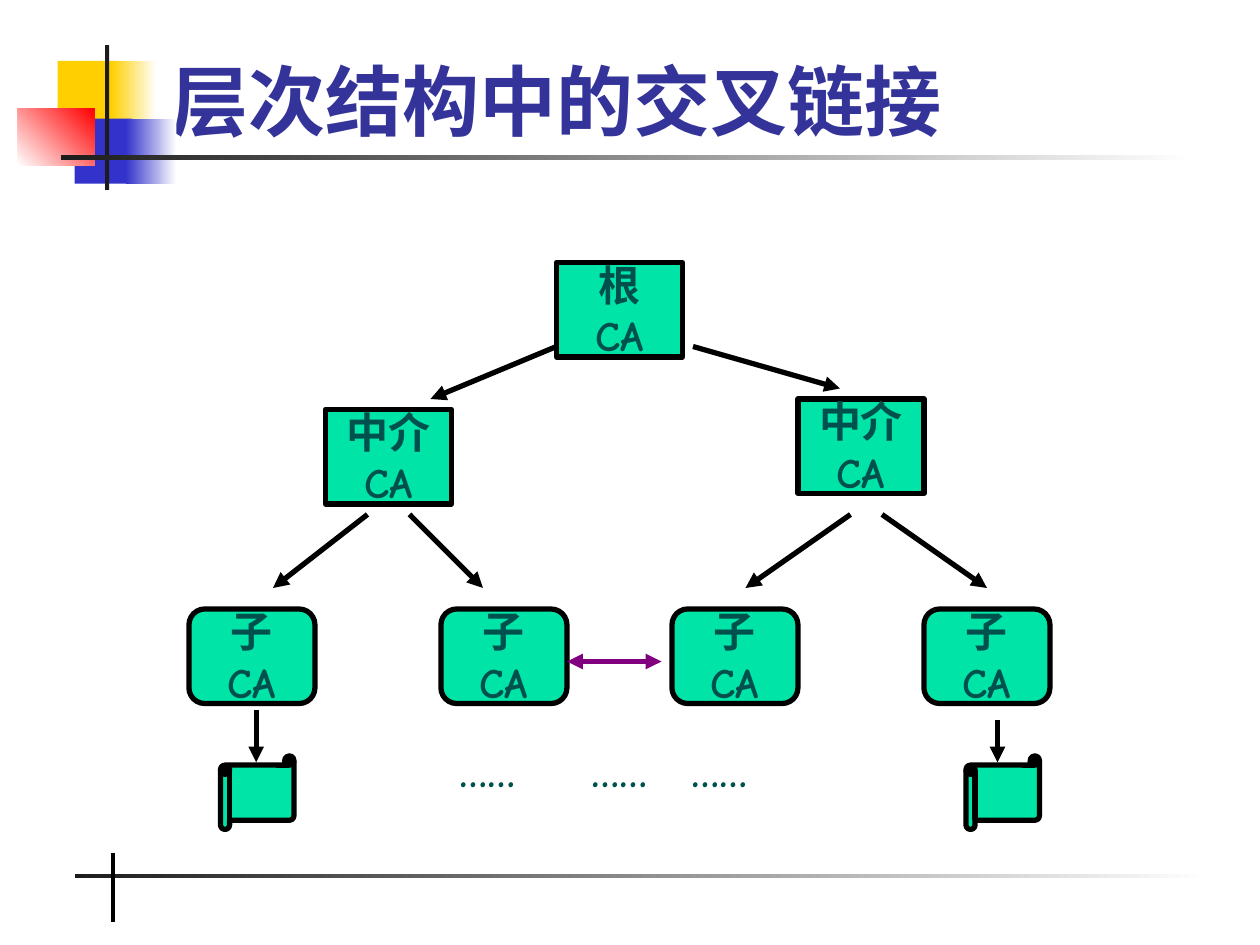
import pptx
import pptx.util
import pptx.dml.color
import pptx.enum.dml
import pptx.enum.shapes
import pptx.enum.text
import pptx.oxml
import pptx.oxml.ns

RGB = pptx.dml.color.RGBColor
KIND = pptx.enum.shapes.MSO_SHAPE
ALIGN = pptx.enum.text.PP_ALIGN
ANCHOR = pptx.enum.text.MSO_ANCHOR

GOLD = RGB(0xFF, 0xCF, 0x01)
BLUE = RGB(0x33, 0x33, 0xCC)
RED = RGB(0xFF, 0x00, 0x00)
DARK = RGB(0x1C, 0x1C, 0x1C)
WHITE = RGB(0xFF, 0xFF, 0xFF)
BLACK = RGB(0x00, 0x00, 0x00)
NAVY = RGB(0x33, 0x33, 0x99)
MINT = RGB(0x00, 0xE4, 0xA8)
TEAL = RGB(0x00, 0x50, 0x4E)
PURPLE = RGB(0x80, 0x00, 0x80)

SCALE = 7620
TITLE = "层次结构中的交叉链接"
DECOR = [
    ((55, 58, 58, 62), [GOLD], 0),
    ((106, 58, 43, 62), [GOLD, WHITE], 0),
    ((71, 113, 55, 62), [BLUE], 0),
    ((120, 113, 48, 62), [BLUE, WHITE], 0),
    ((17, 103, 73, 55), [WHITE, RED], 45),
    ((100, 43, 4, 138), [DARK], 0),
    ((58, 148, 1080, 4), [DARK, WHITE], 0),
    ((71, 832, 1080, 4), [DARK, WHITE], 0),
]
NODES = [
    ("根", KIND.RECTANGLE, [(530, 250)]),
    ("中介", KIND.RECTANGLE, [(310, 390), (760, 380)]),
    ("子", KIND.ROUNDED_RECTANGLE, [(x, 580) for x in (180, 420, 640, 880)]),
]
SCROLLS = [210, 920]
DOTS = ["……"] * 3
STOPS = [125, 221]
ARROWS = [
    (530, 330, 410, 380), (660, 330, 800, 370),
    (350, 490, 260, 560), (390, 490, 460, 560),
    (810, 490, 710, 560), (840, 490, 940, 560),
    (244, 676, 244, 726), (950, 686, 950, 726),
]
CROSS = (540, 630, 630, 630)

HEAD = {"name": "Times New Roman", "size": pptx.util.Pt(44), "bold": True}
BODY = {"name": "Comic Neue", "size": pptx.util.Pt(24), "bold": True}
FRAME = {"margin_left": 0, "margin_top": 0, "margin_right": 0,
         "margin_bottom": 0, "word_wrap": False,
         "vertical_anchor": ANCHOR.MIDDLE}


def px(*nums):
    return [pptx.util.Emu(n * SCALE) for n in nums]


def put(thing, vals):
    for key, val in vals.items():
        setattr(thing, key, val)


def add(host, tag, **atts):
    node = pptx.oxml.parse_xml(
        f"<a:{tag} {pptx.oxml.ns.nsdecls('a')}/>")
    for key, val in atts.items():
        node.set(key, str(val))
    host.append(node)
    return node


def write(shape, text, font, tone, frame, align):
    body = shape.text_frame
    body.text = text
    put(body, frame)
    para = body.paragraphs[0]
    para.alignment = align
    for run in para.runs:
        put(run.font, font)
        run.font.color.rgb = tone
    return para


def draw(slide, kind, box, tones, turn=0):
    shape = slide.shapes.add_shape(kind, *px(*box))
    shape.shadow.inherit = False
    shape.line.fill.background()
    if len(tones) == 1:
        shape.fill.solid()
        shape.fill.fore_color.rgb = tones[0]
    else:
        shape.fill.gradient()
        shape.fill.gradient_angle = turn
        for stop, tone in zip(shape.fill.gradient_stops, tones):
            stop.color.rgb = tone
    return shape


def edge(line, tone, width=3):
    line.color.rgb = tone
    line.width = pptx.util.Pt(width)


def link(slide, ends, tone=BLACK, width=3, tips=()):
    line = slide.shapes.add_connector(
        pptx.enum.shapes.MSO_CONNECTOR.STRAIGHT, *px(*ends))
    edge(line.line, tone, width)
    for tip in tips:
        add(line.line._get_or_add_ln(), tip, type="triangle")
    add(line._element.spPr, "effectLst")


def main():
    deck = pptx.Presentation()
    deck.slide_width, deck.slide_height = px(1200, 900)
    slide = deck.slides.add_slide(deck.slide_layouts[5])

    for box, tones, turn in DECOR:
        draw(slide, KIND.RECTANGLE, box, tones, turn)
    link(slide, (108, 812, 108, 878), width=2.25)

    title = slide.shapes.title
    put(title, dict(zip(("left", "top", "width", "height"),
                        px(151, 19, 1022, 126))))
    write(title, TITLE, HEAD, NAVY,
          {"vertical_anchor": ANCHOR.BOTTOM, "word_wrap": True,
           "auto_size": pptx.enum.text.MSO_AUTO_SIZE.NONE}, ALIGN.LEFT)

    for label, kind, spots in NODES:
        for x, y in spots:
            node = draw(slide, kind, (x, y, 120, 90), [MINT])
            edge(node.line, BLACK)
            write(node, label + "\vCA", BODY, TEAL, FRAME, ALIGN.CENTER)
    for x in SCROLLS:
        scroll = draw(slide, KIND.HORIZONTAL_SCROLL, (x, 720, 70, 70), [MINT])
        edge(scroll.line, BLACK)

    dots = slide.shapes.add_textbox(*px(270, 710, 610, 48))
    look = {**FRAME, "word_wrap": True, "margin_left": px(168)[0],
            "vertical_anchor": ANCHOR.TOP}
    para = write(dots, "\t".join(DOTS), BODY, TEAL, look, ALIGN.LEFT)
    tabs = add(para._p.get_or_add_pPr(), "tabLst")
    for stop in px(*STOPS):
        add(tabs, "tab", pos=int(stop), algn="l")

    for ends in ARROWS:
        link(slide, ends, tips=["tailEnd"])
    link(slide, CROSS, PURPLE, tips=["headEnd", "tailEnd"])
    deck.save("out.pptx")


if __name__ == "__main__":
    main()
